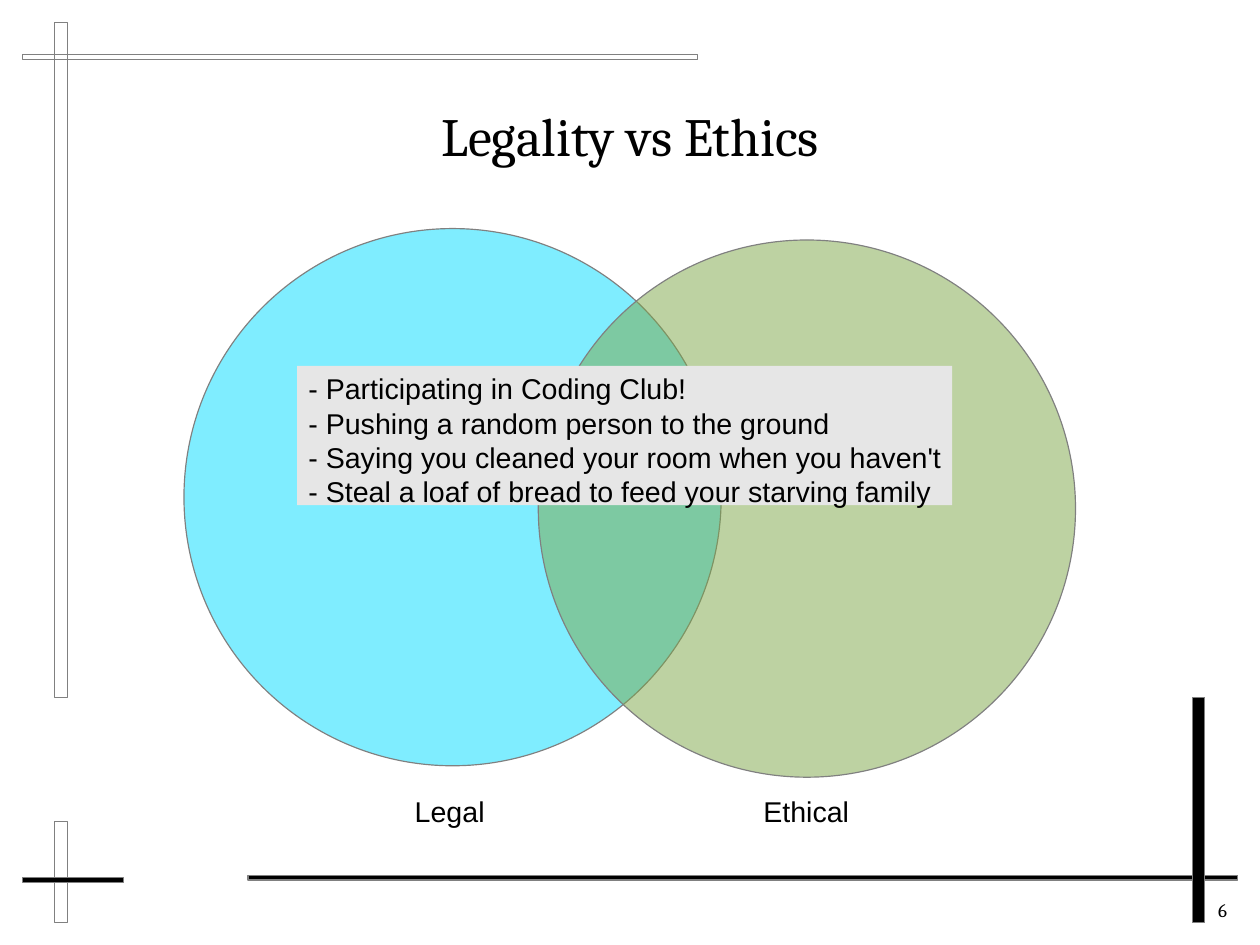
from dataclasses import dataclass

from lxml.etree import SubElement
from pptx import Presentation
from pptx.dml.color import RGBColor
from pptx.enum.shapes import MSO_SHAPE
from pptx.enum.text import MSO_ANCHOR, PP_ALIGN
from pptx.oxml.ns import qn
from pptx.util import Cm, Inches, Pt


@dataclass(frozen=True)
class Theme:
    ink: str = "000000"
    outline: str = "808080"
    legal: str = "00DCFF"
    ethical: str = "7DA647"
    panel: str = "E6E6E6"
    heading_font: str = "Cambria"
    body_font: str = "Arial"
    title_size: float = 33.9
    body_size: float = 18
    number_size: float = 12
    list_pitch: float = 21.6


THEME = Theme()

# left, top, width, height, filled
FRAME_BARS = [
    (0.48, 0.2, 0.11, 5.9, False),
    (0.2, 0.48, 5.9, 0.04, False),
    (0.48, 7.19, 0.11, 0.88, False),
    (0.2, 7.68, 0.88, 0.04, True),
    (2.17, 7.66, 8.66, 0.04, True),
    (10.43, 6.1, 0.11, 1.97, True),
]

EXAMPLES = [
    "- Participating in Coding Club!",
    "- Pushing a random person to the ground",
    "- Saying you cleaned your room when you haven't",
    "- Steal a loaf of bread to feed your starving family",
]

CIRCLE_SIZE = 4.7


def add_figure(slide, kind, box, fill=None, outline=None, alpha=None):
    """Add a preset shape; alpha is its opacity in percent."""
    s = slide.shapes.add_shape(kind, *map(Inches, box))
    s.shadow.inherit = False
    if fill:
        s.fill.solid()
        s.fill.fore_color.rgb = RGBColor.from_string(fill)
    else:
        s.fill.background()
    if alpha:
        color = s.fill._xPr.find(f"{qn('a:solidFill')}/{qn('a:srgbClr')}")
        SubElement(color, qn("a:alpha"), val=str(alpha * 1000))
    if outline:
        s.line.color.rgb = RGBColor.from_string(outline)
        s.line.width = Pt(0)
    else:
        s.line.fill.background()
    return s


def write(tf, text, font, size, align=PP_ALIGN.LEFT, pitch=None):
    tf.text = text
    for p in tf.paragraphs:
        p.alignment = align
        if pitch:
            p.line_spacing = Pt(pitch)
        for r in p.runs:
            r.font.name = font
            r.font.size = Pt(size)
            r.font.color.rgb = RGBColor.from_string(THEME.ink)


def add_label(slide, text, box, font, size, align=PP_ALIGN.LEFT):
    tf = slide.shapes.add_textbox(*map(Inches, box)).text_frame
    tf.word_wrap = False
    write(tf, text, font, size, align)


def set_title(slide, text):
    title = slide.shapes.title
    title.left, title.top = Inches(0.81), Inches(0.59)
    title.width, title.height = Inches(9.41), Inches(1.18)
    tf = title.text_frame
    tf.margin_left = tf.margin_right = tf.margin_top = tf.margin_bottom = 0
    tf.vertical_anchor = MSO_ANCHOR.MIDDLE
    write(tf, text, THEME.heading_font, THEME.title_size, PP_ALIGN.CENTER)


def add_circle(slide, left, top, fill):
    add_figure(slide, MSO_SHAPE.OVAL, (left, top, CIRCLE_SIZE, CIRCLE_SIZE),
               fill, THEME.outline, alpha=50)


def add_examples(slide):
    panel = add_figure(slide, MSO_SHAPE.RECTANGLE, (2.6, 3.2, 5.73, 1.22), THEME.panel)
    tf = panel.text_frame
    tf.word_wrap = False
    tf.vertical_anchor = MSO_ANCHOR.TOP
    write(tf, "\n".join(EXAMPLES), THEME.body_font, THEME.body_size,
          pitch=THEME.list_pitch)


def main():
    prs = Presentation()
    prs.slide_width, prs.slide_height = Cm(28), Cm(21)
    slide = prs.slides.add_slide(prs.slide_layouts[5])

    for *box, filled in FRAME_BARS:
        add_figure(slide, MSO_SHAPE.RECTANGLE, box,
                   THEME.ink if filled else None, THEME.outline)
    add_label(slide, "6", (10.56, 7.81, 0.26, 0.31),
              THEME.heading_font, THEME.number_size, PP_ALIGN.CENTER)
    set_title(slide, "Legality vs Ethics")

    add_circle(slide, 1.61, 2, THEME.legal)
    add_circle(slide, 4.71, 2.1, THEME.ethical)
    for text, left, width in (("Legal", 3.53, 0.81), ("Ethical", 6.58, 0.95)):
        add_label(slide, text, (left, 6.9, width, 0.38),
                  THEME.body_font, THEME.body_size)
    add_examples(slide)

    prs.save("out.pptx")


if __name__ == "__main__":
    main()
